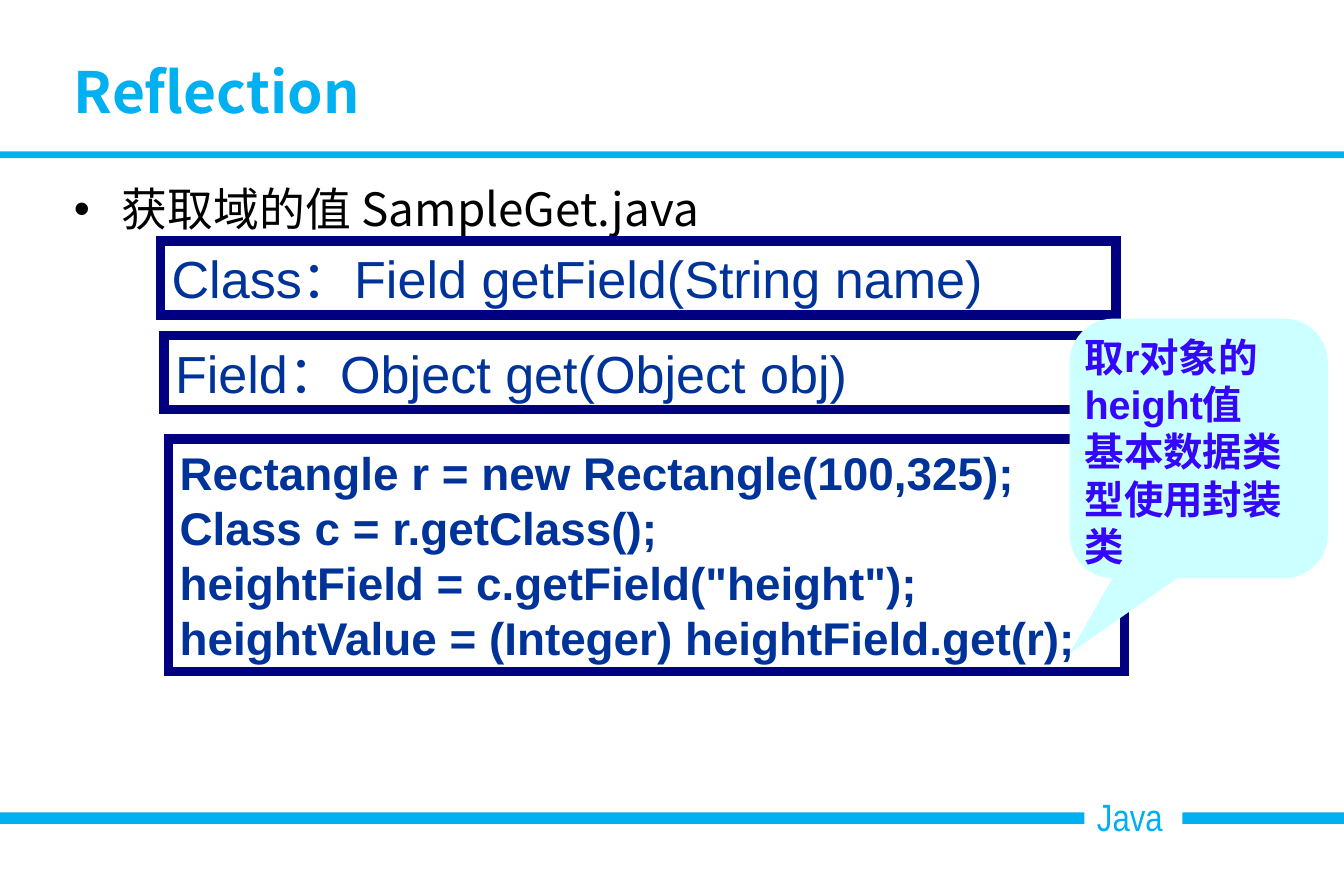
"""Build the Reflection slide on reading field values in Java."""
import pptx
import pptx.dml.color
import pptx.enum.shapes
import pptx.enum.text
import pptx.util
from lxml import etree

Pt = pptx.util.Pt
RGB = pptx.dml.color.RGBColor
SHAPE = pptx.enum.shapes.MSO_SHAPE
ANCHOR = pptx.enum.text.MSO_ANCHOR

SKY = RGB(0x00, 0xB0, 0xF0)
WHITE = RGB(0xFF, 0xFF, 0xFF)
BLACK = RGB(0x00, 0x00, 0x00)
NAVY = RGB(0x00, 0x00, 0x80)
CODE_BLUE = RGB(0x00, 0x33, 0x99)
VIOLET = RGB(0x34, 0x06, 0xFA)
PALE_CYAN = RGB(0xCC, 0xFF, 0xFF)
NOTO = "Noto Sans CJK SC"


def write(sp, text, size, color, font="Arial", bold=False,
          margins=(7.2, 3.6), wrap=True, anchor=ANCHOR.TOP):
    tf = sp.text_frame
    tf.auto_size = pptx.enum.text.MSO_AUTO_SIZE.NONE
    tf.word_wrap = wrap
    tf.vertical_anchor = anchor
    tf.margin_left = tf.margin_right = Pt(margins[0])
    tf.margin_top = tf.margin_bottom = Pt(margins[1])
    for i, line in enumerate(text.split("\n")):
        p = tf.add_paragraph() if i else tf.paragraphs[0]
        p.alignment = pptx.enum.text.PP_ALIGN.LEFT
        p.line_spacing = 1.0
        p.space_before = Pt(0)
        r = p.add_run()
        r.text = line
        r.font.size = Pt(size)
        r.font.bold = bold
        r.font.name = font
        r.font.color.rgb = color
        ea = etree.SubElement(r.font._element, pptx.oxml.ns.qn("a:ea"))
        ea.set("typeface", font)


def add_box(kind, left, top, width, height, fill, line=None):
    sp = s.shapes.add_shape(kind, Pt(left), Pt(top), Pt(width), Pt(height))
    sp.shadow.inherit = False
    sp.fill.solid()
    sp.fill.fore_color.rgb = fill
    if line is None:
        sp.line.fill.background()
    else:
        sp.line.color.rgb = line
        sp.line.width = Pt(6)
        miter = etree.SubElement(sp.line._ln, pptx.oxml.ns.qn("a:miter"))
        miter.set("lim", "800000")
    return sp


prs = pptx.Presentation()
prs.slide_width, prs.slide_height = Pt(850.4), Pt(566.9)
s = prs.slides.add_slide(prs.slide_layouts[1])
title, body = s.placeholders

for top, height in ((514.1, 7.2), (95.8, 4.3)):
    add_box(SHAPE.RECTANGLE, 0, top, 850.4, height, SKY)
footer = add_box(SHAPE.RECTANGLE, 686.2, 497.5, 61.9, 36.7, WHITE)
write(footer, "Java", 24, SKY, font="Arial Narrow", margins=(7.9, 4.3), wrap=False)

for sp, top, height in ((title, 35.3, 44.6), (body, 110.2, 374.4)):
    sp.left, sp.top, sp.width, sp.height = Pt(38.9), Pt(top), Pt(765.4), Pt(height)
write(title, "Reflection", 36, SKY, font=NOTO, bold=True,
      margins=(7.9, 4.3), anchor=ANCHOR.MIDDLE)
write(body, "获取域的值 SampleGet.java", 29, BLACK, font=NOTO, margins=(7.9, 4.3))
pPr = body.text_frame.paragraphs[0]._p.get_or_add_pPr()
pPr.set("marL", str(Pt(30.2)))
pPr.set("indent", str(Pt(-30.2)))
etree.SubElement(pPr, pptx.oxml.ns.qn("a:buFont")).set("typeface", "Arial")
etree.SubElement(pPr, pptx.oxml.ns.qn("a:buChar")).set("char", "•")

signatures = (
    (101.5, 152.6, "Class：Field getField(String name)"),
    (103.7, 212.4, "Field：Object get(Object obj)"),
)
for left, top, text in signatures:
    sp = add_box(SHAPE.RECTANGLE, left, top, 604.8, 46.8, WHITE, NAVY)
    write(sp, text, 33, CODE_BLUE)

code = """Rectangle r = new Rectangle(100,325);
Class c = r.getClass();
heightField = c.getField("height");
heightValue = (Integer) heightField.get(r);"""
sp = add_box(SHAPE.RECTANGLE, 106.6, 277.9, 604.8, 146.9, WHITE, NAVY)
write(sp, code, 29, CODE_BLUE, bold=True)

callout = add_box(SHAPE.ROUNDED_RECTANGULAR_CALLOUT, 676.8, 201.6, 163.4, 164.2, PALE_CYAN)
for i, value in enumerate((-0.5, 0.79, 0.17)):
    callout.adjustments[i] = value
write(callout, "取r对象的height值\n基本数据类型使用封装类", 25, VIOLET, bold=True,
      margins=(1.4, 0.7))

prs.save("out.pptx")
